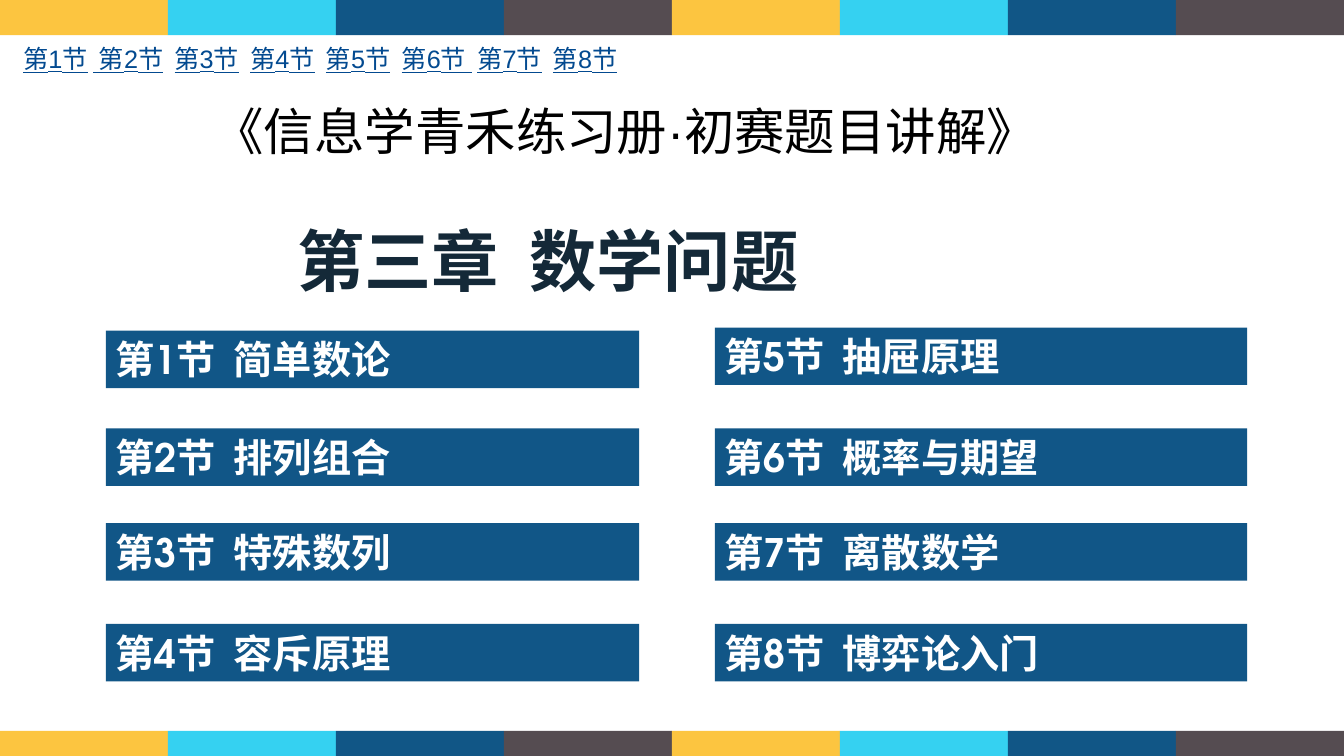
from dataclasses import dataclass

from pptx import Presentation
from pptx.dml.color import RGBColor
from pptx.enum.shapes import MSO_SHAPE
from pptx.enum.text import MSO_ANCHOR, MSO_AUTO_SIZE, PP_ALIGN
from pptx.util import Inches, Pt

RECT = MSO_SHAPE.RECTANGLE
TOP = MSO_ANCHOR.TOP
LEFT = PP_ALIGN.LEFT
GROW = MSO_AUTO_SIZE.SHAPE_TO_FIT_TEXT

SLIDE_W, SLIDE_H = Inches(13.33), Inches(7.5)
STRIP_COLORS = ("FCC540", "35D1F1", "115686", "554C51") * 2
BUTTON_FILL = "115687"
LINK_COLOR = "034A90"
BUTTON_H = 7.6


@dataclass(frozen=True)
class Box:
    """A rectangle in percent of the slide's width and height."""
    x: float
    y: float
    w: float
    h: float

    def emu(self) -> tuple[int, int, int, int]:
        return (round(SLIDE_W * self.x / 100), round(SLIDE_H * self.y / 100),
                round(SLIDE_W * self.w / 100), round(SLIDE_H * self.h / 100))


@dataclass(frozen=True)
class Style:
    size: int
    font: str
    color: str
    bold: bool = False


@dataclass(frozen=True)
class ButtonColumn:
    x: float
    w: float
    rows: tuple[float, ...]
    labels: tuple[str, ...]


CHAPTER = Style(48, "Roboto Condensed", "142938", True)
BOOK = Style(36, "Arial", "000000")
NAV = Style(18, "Arial", "000000")
BUTTON = Style(28, "TeX Gyre Adventor", "FFFFFF", True)

COLUMNS = (
    ButtonColumn(7.88, 39.68, (43.73, 56.67, 69.2, 82.53),
                 ("第1节  简单数论", "第2节  排列组合", "第3节  特殊数列", "第4节  容斥原理")),
    ButtonColumn(53.19, 39.61, (43.33, 56.67, 69.2, 82.53),
                 ("第5节  抽屉原理", "第6节  概率与期望", "第7节  离散数学", "第8节  博弈论入门")),
)

# Each link with the plain gap that follows it
NAV_LINKS = (("第1节", " "), (" 第2节", "  "), ("第3节", "  "), ("第4节", "  "),
             ("第5节", "  "), ("第6节 ", " "), ("第7节", "  "), ("第8节", ""))


def rgb(color: str) -> RGBColor:
    return RGBColor.from_string(color)


def add_rect(shapes, box: Box, color: str):
    sp = shapes.add_shape(RECT, *box.emu())
    sp.shadow.inherit = False
    sp.fill.solid()
    sp.fill.fore_color.rgb = rgb(color)
    sp.line.fill.background()
    return sp


def style_text(sp, style: Style, text: str = ""):
    """Set up the shape's only paragraph and return it."""
    tf = sp.text_frame
    tf.word_wrap = True
    tf.auto_size = GROW
    tf.vertical_anchor = TOP
    p = tf.paragraphs[0]
    p.alignment = LEFT
    p.font.size = Pt(style.size)
    p.font.name = style.font
    p.font.bold = style.bold
    p.font.color.rgb = rgb(style.color)
    if text:
        p.add_run().text = text
    return p


def add_text(slide, box: Box, style: Style, text: str = ""):
    return style_text(slide.shapes.add_textbox(*box.emu()), style, text)


def add_strip(slide, y: float, h: float) -> None:
    group = slide.shapes.add_group_shape()
    w = 100 / len(STRIP_COLORS)
    for i, color in enumerate(STRIP_COLORS):
        add_rect(group.shapes, Box(i * w, y, w, h), color)


def add_buttons(slide, column: ButtonColumn) -> None:
    for y, label in zip(column.rows, column.labels):
        sp = add_rect(slide.shapes, Box(column.x, y, column.w, BUTTON_H), BUTTON_FILL)
        style_text(sp, BUTTON, label)


def add_nav(slide) -> None:
    p = add_text(slide, Box(0.98, 5.07, 50, 5.33), NAV)
    for link, gap in NAV_LINKS:
        r = p.add_run()
        r.text = link
        r.font.underline = True
        r.font.color.rgb = rgb(LINK_COLOR)
        if gap:
            p.add_run().text = gap


def main() -> None:
    prs = Presentation()
    prs.slide_width, prs.slide_height = SLIDE_W, SLIDE_H
    slide = prs.slides.add_slide(prs.slide_layouts[6])
    add_text(slide, Box(21.38, 28.4, 56.64, 12.13), CHAPTER, "第三章  数学问题")
    add_strip(slide, 96.67, 3.33)
    add_strip(slide, 0, 4.67)
    add_text(slide, Box(15.15, 12.53, 63.39, 9.47), BOOK, "《信息学青禾练习册·初赛题目讲解》")
    for column in COLUMNS:
        add_buttons(slide, column)
    add_nav(slide)
    prs.save("out.pptx")


if __name__ == "__main__":
    main()
